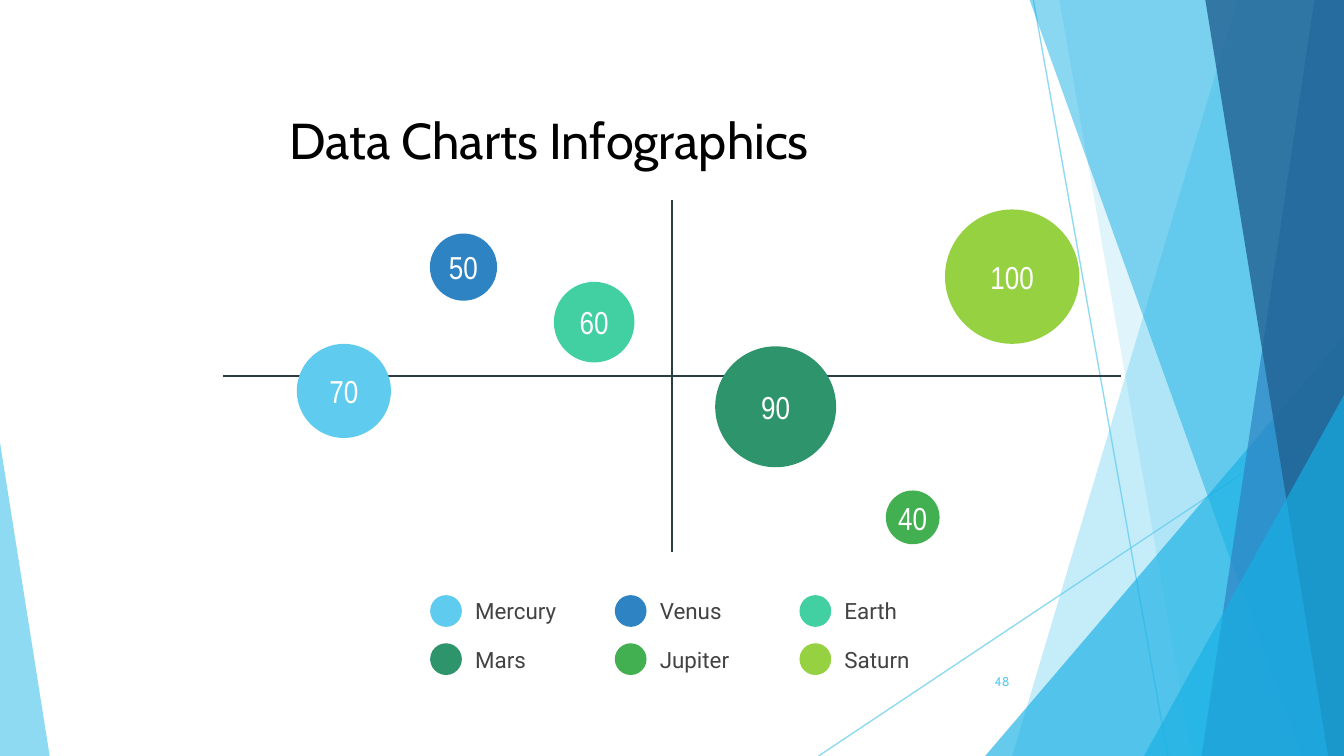
from dataclasses import dataclass
from typing import NamedTuple

from lxml.etree import SubElement
from pptx import Presentation
from pptx.dml.color import RGBColor
from pptx.enum.shapes import MSO_CONNECTOR, MSO_SHAPE
from pptx.enum.text import MSO_ANCHOR, PP_ALIGN
from pptx.oxml.ns import qn
from pptx.util import Cm, Pt


class Box(NamedTuple):
    """A region in centimetres."""

    left: float
    top: float
    width: float
    height: float


@dataclass(frozen=True)
class Theme:
    """Colours, fonts and type sizes of the slide."""

    sky: str = "5FCBEF"
    cyan: str = "17B0E4"
    blue: str = "2E83C3"
    navy: str = "226292"
    mint: str = "42D0A2"
    forest: str = "2E946B"
    green: str = "42B051"
    lime: str = "96D141"
    axis: str = "2C3C43"
    ink: str = "000000"
    label: str = "434343"
    white: str = "FFFFFF"
    heading_font: str = "Cabin"
    value_font: str = "Arial Narrow"
    label_font: str = "Roboto"
    heading_size: float = 27
    value_size: float = 17
    label_size: float = 12
    number_size: float = 6.8
    hairline: float = 0.75


THEME = Theme()
SLIDE = Box(0, 0, 25.4, 14.29)
PLANETS = {
    "Mercury": (70, -6.2, 0.28, THEME.sky),
    "Venus": (50, -3.94, -2.06, THEME.blue),
    "Earth": (60, -1.47, -1.02, THEME.mint),
    "Mars": (90, 1.96, 0.58, THEME.forest),
    "Jupiter": (40, 4.55, 2.67, THEME.green),
    "Saturn": (100, 6.43, -1.88, THEME.lime),
}


def lengths(*values):
    """Convert centimetres to slide lengths."""
    return [Cm(value) for value in values]


def set_opacity(owner, percent):
    """Give the solid colour inside an element an opacity."""
    colour = owner.find(".//" + qn("a:srgbClr"))
    SubElement(colour, qn("a:alpha"), val=str(percent * 1000))


def paint(shape, colour, opacity=100):
    """Fill a shape without outline or shadow."""
    shape.shadow.inherit = False
    shape.fill.solid()
    shape.fill.fore_color.rgb = RGBColor.from_string(colour)
    shape.line.fill.background()
    if opacity < 100:
        set_opacity(shape._element.spPr, opacity)


def add_line(slide, start, end, colour, opacity=100):
    """Draw a thin straight line between two points."""
    line = slide.shapes.add_connector(MSO_CONNECTOR.STRAIGHT, *lengths(*start, *end))
    line.line.color.rgb = RGBColor.from_string(colour)
    line.line.width = Pt(THEME.hairline)
    if opacity < 100:
        set_opacity(line._element.spPr, opacity)
    SubElement(line._element.spPr, qn("a:effectLst"))


def add_circle(slide, center_x, center_y, diameter, colour):
    """Draw a filled circle around a centre."""
    corner = center_x - diameter / 2, center_y - diameter / 2
    circle = slide.shapes.add_shape(MSO_SHAPE.OVAL, *lengths(*corner, diameter, diameter))
    paint(circle, colour)
    return circle


def write(shape, words, font, size, colour, align, anchor=MSO_ANCHOR.MIDDLE, side=0.25):
    """Put one formatted paragraph into a shape."""
    frame = shape.text_frame
    frame.text = words
    frame.word_wrap = True
    frame.vertical_anchor = anchor
    frame.margin_left = frame.margin_right = Cm(side)
    frame.margin_top = frame.margin_bottom = Cm(0.25)
    paragraph = frame.paragraphs[0]
    paragraph.alignment = align
    run_font = paragraph.runs[0].font
    run_font.name = font
    run_font.size = Pt(size)
    run_font.color.rgb = RGBColor.from_string(colour)


def add_panel(slide, box, top_x, bottom_x, colour, opacity):
    """Draw a slanted panel that reaches the right edge of the box."""
    left, top, width, height = box
    right, bottom = left + width, top + height
    builder = slide.shapes.build_freeform(*lengths(left + top_x, top), scale=1.0)
    corners = [(right, top), (right, bottom), (left + bottom_x, bottom)]
    builder.add_line_segments([lengths(*corner) for corner in corners], close=True)
    paint(builder.convert_to_shape(), colour, opacity)


def add_wedge(slide, box, left, width, height, apex, colour, opacity):
    """Draw a right triangle standing on the bottom of the box."""
    place = lengths(box.left + left, box.top + box.height - height, width, height)
    wedge = slide.shapes.add_shape(MSO_SHAPE.ISOSCELES_TRIANGLE, *place)
    wedge.adjustments[0] = apex
    paint(wedge, colour, opacity)


def add_backdrop(slide, box):
    """Layer the translucent facets along the slide edges."""
    left, top, width, height = box
    right, bottom = left + width, top + height
    add_line(slide, (left + 19.53, top), (left + 22.07, bottom), THEME.sky, 70)
    add_line(slide, (right, top + 7.67), (left + 15.47, bottom), THEME.sky, 70)
    add_panel(slide, box, 23.39, 19.13, THEME.sky, 36)
    add_panel(slide, box, 20.02, 22.53, THEME.sky, 20)
    add_wedge(slide, box, 18.62, 6.78, 7.94, 1, THEME.cyan, 66)
    add_panel(slide, box, 19.46, 24.59, THEME.cyan, 50)
    add_panel(slide, box, 24.84, 22.71, THEME.blue, 70)
    add_panel(slide, box, 22.78, 25.1, THEME.navy, 80)
    add_wedge(slide, box, 21.62, 3.78, 6.82, 1, THEME.cyan, 66)
    add_wedge(slide, box, 0, 0.94, 5.93, 0, THEME.sky, 70)


def add_title(slide, box):
    """Write the slide title."""
    title = slide.shapes.add_textbox(*lengths(*box))
    write(title, "Data Charts Infographics", THEME.heading_font,
          THEME.heading_size, THEME.ink, PP_ALIGN.CENTER)


def add_page_number(slide, box):
    """Write the page number."""
    number = slide.shapes.add_textbox(*lengths(*box))
    write(number, "48", THEME.heading_font, THEME.number_size, THEME.sky,
          PP_ALIGN.RIGHT, MSO_ANCHOR.TOP)


def add_bubbles(slide, box):
    """Draw crossed axes and one bubble per planet, sized by value."""
    left, top, width, height = box
    origin_x, origin_y = left + width / 2, top + height / 2
    add_line(slide, (origin_x, top), (origin_x, top + height), THEME.axis)
    add_line(slide, (left, origin_y), (left + width, origin_y), THEME.axis)
    for value, x, y, colour in PLANETS.values():
        bubble = add_circle(slide, origin_x + x, origin_y + y, value * 2.54 / 100, colour)
        write(bubble, str(value), THEME.value_font, THEME.value_size,
              THEME.white, PP_ALIGN.CENTER, side=0)


def add_legend(slide, box):
    """Lay out the planet names in three columns and two rows."""
    columns, rows, marker, label_width = 3, 2, 0.6, 2.2
    column_step = (box.width - marker - label_width) / (columns - 1)
    row_step = (box.height - marker) / (rows - 1)
    for index, (planet, (*_, colour)) in enumerate(PLANETS.items()):
        row, column = divmod(index, columns)
        x, y = box.left + column * column_step, box.top + row * row_step
        label = slide.shapes.add_textbox(*lengths(x + marker, y, label_width, marker))
        write(label, planet, THEME.label_font, THEME.label_size, THEME.label, PP_ALIGN.LEFT)
        add_circle(slide, x + marker / 2, y + marker / 2, marker, colour)


def main():
    """Build and save the slide."""
    deck = Presentation()
    deck.slide_width, deck.slide_height = lengths(SLIDE.width, SLIDE.height)
    slide = deck.slides.add_slide(deck.slide_layouts[6])
    add_backdrop(slide, SLIDE)
    add_title(slide, Box(1.42, 1.27, 17.91, 2.74))
    add_page_number(slide, Box(17.91, 12.6, 1.42, 0.76))
    add_bubbles(slide, Box(4.22, 3.78, 16.96, 6.66))
    add_legend(slide, Box(8.13, 11.25, 9.78, 1.51))
    deck.save("out.pptx")


if __name__ == "__main__":
    main()
